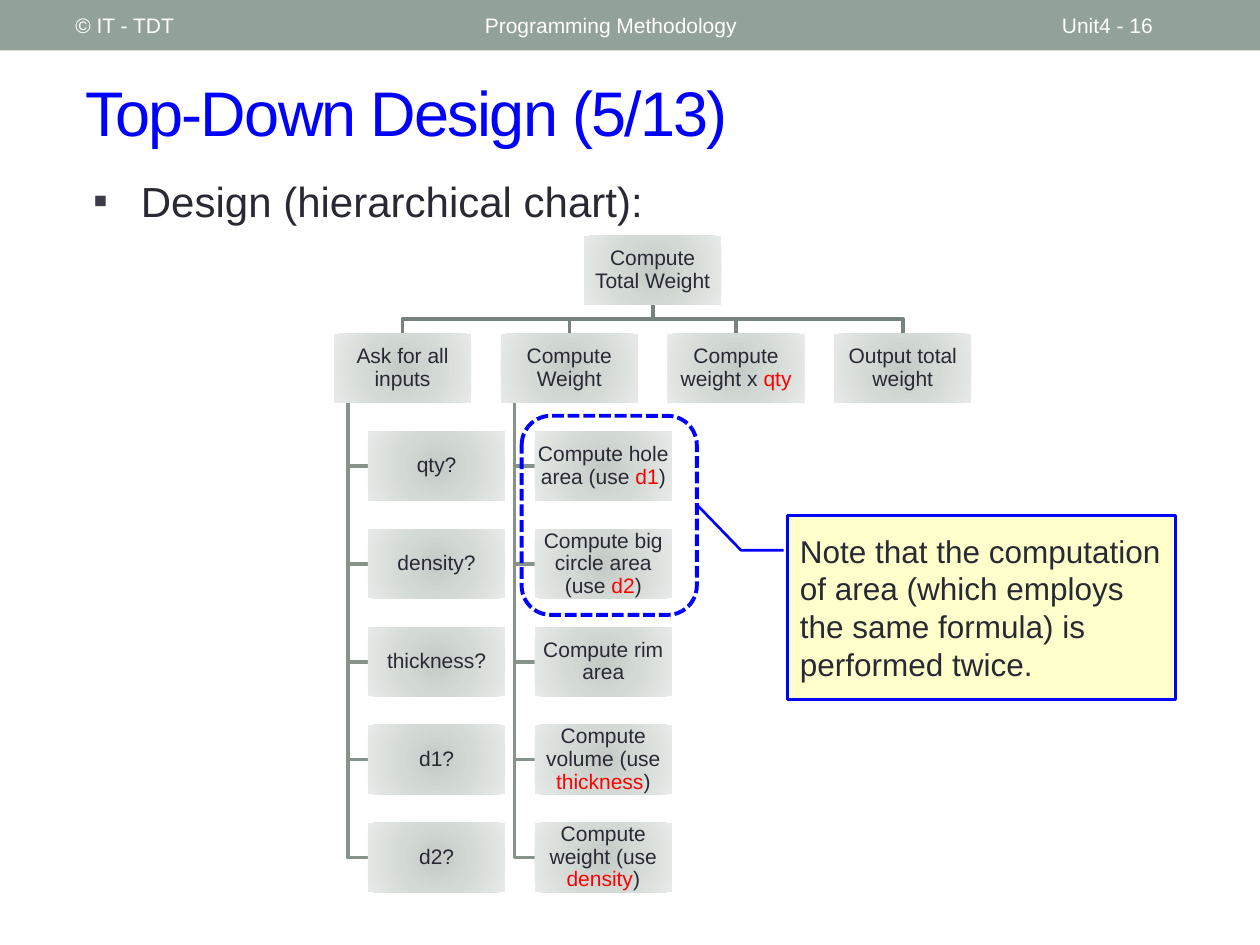
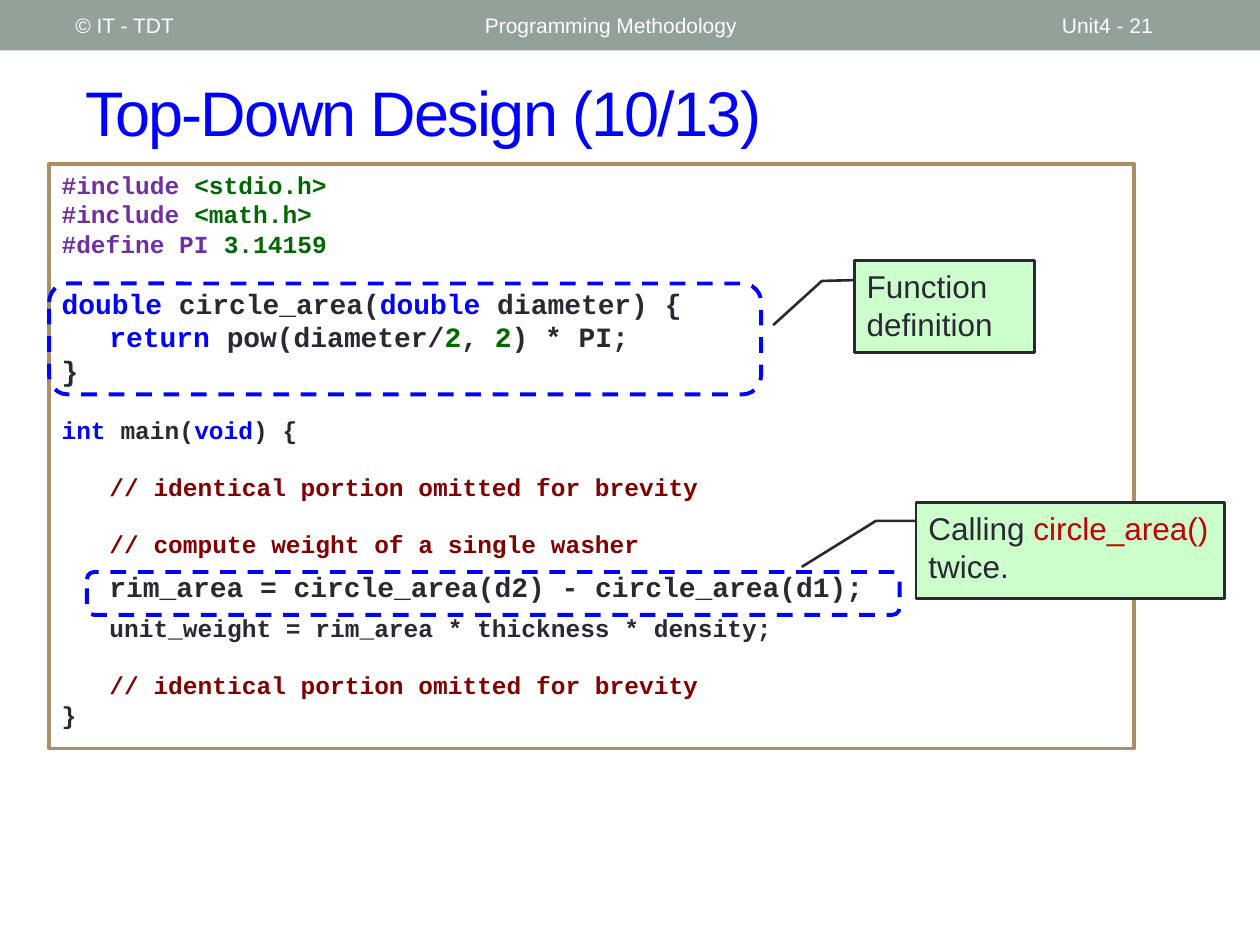
from typing import NamedTuple

from lxml import etree
from pptx import Presentation
from pptx.dml.color import RGBColor
from pptx.enum import dml, shapes, text
from pptx.oxml import parse_xml
from pptx.oxml.ns import nsdecls, qn
from pptx.util import Inches, Pt

WIDTH, HEIGHT = Inches(10), Inches(7.5)
COLUMN, ROW = WIDTH / 100, HEIGHT / 75  # page grid: 100 columns by 75 rows

WHITE = RGBColor(0xFF, 0xFF, 0xFF)
INK = RGBColor(0x29, 0x29, 0x34)
SAGE = RGBColor(0x93, 0xA2, 0x99)
BULLET = RGBColor(0x3B, 0x3B, 0x4B)
BLUE = RGBColor(0x00, 0x00, 0xFF)
RED = RGBColor(0xFF, 0x00, 0x00)
CRIMSON = RGBColor(0xC0, 0x00, 0x00)
MAROON = RGBColor(0x80, 0x00, 0x00)
PURPLE = RGBColor(0x70, 0x30, 0xA0)
GREEN = RGBColor(0x00, 0x66, 0x00)
TAN = RGBColor(0xAD, 0x8F, 0x67)
CREAM = RGBColor(0xFF, 0xFF, 0xCC)
MINT = RGBColor(0xCC, 0xFF, 0xCC)
TRUNK = RGBColor(0x76, 0x82, 0x7B)
BRANCH = RGBColor(0x85, 0x93, 0x8B)
NODE_STOPS = ((0, RGBColor(0xC4, 0xCA, 0xC6)), (45, RGBColor(0xD3, 0xDA, 0xD6)),
              (100, RGBColor(0xE7, 0xEA, 0xE8)))

SANS, MONO = "Arial", "Courier New"
TOP, MIDDLE = text.MSO_ANCHOR.TOP, text.MSO_ANCHOR.MIDDLE
LEFT, CENTER = text.PP_ALIGN.LEFT, text.PP_ALIGN.CENTER
RECT = shapes.MSO_SHAPE.RECTANGLE
ROUNDED = shapes.MSO_SHAPE.ROUNDED_RECTANGLE
CALLOUT = shapes.MSO_SHAPE.LINE_CALLOUT_2
BLANK_LINE = 15.9  # height in points of one 14-point code line


class Box(NamedTuple):
    """An area in grid columns and rows."""
    left: float
    top: float
    width: float
    height: float

    def inner(self, left, top, width, height):
        return Box(self.left + left, self.top + top, width, height)

    def lengths(self):
        return [round(count * unit) for count, unit in zip(self, (COLUMN, ROW) * 2)]


# Shared building parts

def set_frame(shape, anchor=MIDDLE, inset=0.1):
    frame = shape.text_frame
    frame.word_wrap = True
    frame.vertical_anchor = anchor
    frame.margin_left = frame.margin_right = Inches(inset)
    frame.margin_top = frame.margin_bottom = Inches(min(inset, 0.05))
    return frame


def write(frame, *spans, size=18, font=SANS, colour=INK, bold=False, align=LEFT,
          line=1.0, before=0, after=0, margin=0, first=0, tracking=0, bullet=None):
    """Add one paragraph; a span is a string or a (string, colour) pair."""
    para = frame.add_paragraph() if frame.text else frame.paragraphs[0]
    para.alignment, para.line_spacing = align, line
    para.space_before, para.space_after = Pt(before), Pt(after)
    props = para._p.get_or_add_pPr()
    props.set("marL", str(Inches(margin)))
    props.set("indent", str(Inches(first)))
    if bullet:
        tint = etree.SubElement(props, qn("a:buClr"))
        etree.SubElement(tint, qn("a:srgbClr"), val=str(BULLET))
        etree.SubElement(props, qn("a:buFont"), typeface=SANS)
        etree.SubElement(props, qn("a:buChar"), char=bullet)
    for span in spans:
        words, tone = (span, colour) if isinstance(span, str) else span
        run = para.add_run()
        run.text = words
        run.font.name, run.font.size, run.font.bold = font, Pt(size), bold
        run.font.color.rgb = tone
        if tracking:
            run._r.get_or_add_rPr().set("spc", str(tracking * 100))


def add_label(page, box, *spans, anchor=MIDDLE, **style):
    label = page.shapes.add_textbox(*box.lengths())
    write(set_frame(label, anchor), *spans, **style)


def paint(shape, fill=None, line=None, weight=2.25, dash=None):
    shape.shadow.inherit = False
    if fill is None:
        shape.fill.background()
    else:
        shape.fill.solid()
        shape.fill.fore_color.rgb = fill
    if line is None:
        shape.line.fill.background()
    else:
        shape.line.color.rgb = line
        shape.line.width = Pt(weight)
        shape.line.dash_style = dash


def add_block(page, kind, box, **style):
    block = page.shapes.add_shape(kind, *box.lengths())
    paint(block, **style)
    return block


def add_callout(page, box, pointer, *spans, fill, line, anchor=TOP):
    callout = add_block(page, CALLOUT, box, fill=fill, line=line, weight=1.5)
    for index, share in enumerate(pointer):
        callout.adjustments[index] = share
    write(set_frame(callout, anchor), *spans)


def add_page(deck, number, title):
    page = deck.slides.add_slide(deck.slide_layouts[6])
    band = Box(0, 0, 100, 4)
    add_block(page, RECT, band, fill=SAGE)
    for left, width, words in ((37.5, 45, "Programming Methodology"),
                               (83.3, 11.7, f"Unit4 - {number}"),
                               (5, 31.7, "© IT - TDT")):
        add_label(page, band.inner(left, 0.2, width, 3.6), words, size=12, colour=WHITE)
    add_label(page, Box(5.8, 4.2, 91.7, 9.2), title, size=36, colour=BLUE, tracking=-1)
    return page


# Hierarchy chart

NODE_WIDTH, NODE_HEIGHT, CHILD_INDENT, SPINE = 10.9, 5.5, 2.7, 1.1

ROOT = ["Compute Total Weight"]
BRANCHES = [
    (["Ask for all inputs"],
     [["qty?"], ["density?"], ["thickness?"], ["d1?"], ["d2?"]]),
    (["Compute Weight"],
     [["Compute hole area (use ", ("d1", RED), ")"],
      ["Compute big circle area (use ", ("d2", RED), ")"],
      ["Compute rim area"],
      ["Compute volume (use ", ("thickness", RED), ")"],
      ["Compute weight (use ", ("density", RED), ")"]]),
    (["Compute weight x ", ("qty", RED)], []),
    (["Output total weight"], []),
]


def add_elbow(page, colour, *points):
    corners = [(round(x * COLUMN), round(y * ROW)) for x, y in points]
    builder = page.shapes.build_freeform(*corners[0])
    builder.add_line_segments(corners[1:], close=False)
    paint(builder.convert_to_shape(), line=colour, weight=2.08)


def add_node(page, box, spans):
    node = add_block(page, RECT, box)
    props = node._element.spPr
    stops = "".join(f'<a:gs pos="{share * 1000}"><a:srgbClr val="{colour}"/></a:gs>'
                    for share, colour in NODE_STOPS)
    props.replace(props.find(qn("a:noFill")), parse_xml(
        f'<a:gradFill {nsdecls("a")} rotWithShape="1"><a:gsLst>{stops}</a:gsLst>'
        '<a:path path="circle"><a:fillToRect l="100000" t="100000" r="100000" b="100000"/>'
        '</a:path></a:gradFill>'))
    write(set_frame(node, inset=0.01), *spans, size=12, align=CENTER, line=0.9)


def add_hierarchy(page, box):
    column_step = (box.width - NODE_WIDTH) / (len(BRANCHES) - 1)
    levels = 2 + max(len(children) for _, children in BRANCHES)
    row_step = (box.height - NODE_HEIGHT) / (levels - 1)

    def cell(column, row, indent=0):
        return box.inner(column * column_step + indent, row * row_step,
                         NODE_WIDTH, NODE_HEIGHT)

    root = cell((len(BRANCHES) - 1) / 2, 0)
    center, foot = root.left + NODE_WIDTH / 2, root.top + NODE_HEIGHT
    nodes = [(root, ROOT)]
    for column, (heading, children) in enumerate(BRANCHES):
        head = cell(column, 1)
        nodes.append((head, heading))
        middle, bend = head.left + NODE_WIDTH / 2, (foot + head.top) / 2
        add_elbow(page, TRUNK, (center, foot), (center, bend),
                  (middle, bend), (middle, head.top))
        for row, spans in enumerate(children, start=2):
            child = cell(column, row, CHILD_INDENT)
            nodes.append((child, spans))
            spine, level = head.left + SPINE, child.top + NODE_HEIGHT / 2
            add_elbow(page, BRANCH, (spine, head.top + NODE_HEIGHT),
                      (spine, level), (child.left, level))
    for node_box, spans in nodes:
        add_node(page, node_box, spans)


def build_chart_page(deck):
    page = add_page(deck, 16, "Top-Down Design (5/13)")
    add_label(page, Box(6.4, 13, 58.7, 5.1), "Design (hierarchical chart):", anchor=TOP,
              size=24, line=1.1, before=6, margin=0.38, first=-0.38, bullet="▪")
    add_hierarchy(page, Box(26.5, 18.7, 50.6, 52.1))
    # Repeated area steps and the note on them
    add_block(page, ROUNDED, Box(41.4, 33, 13.9, 15.8), line=BLUE,
              dash=dml.MSO_LINE.SQUARE_DOT)
    add_callout(page, Box(62.5, 40.9, 30.8, 14.6), (0.19, -0.01, 0.19, -0.12, -0.05, -0.23),
                "Note that the computation of area (which employs the same formula) "
                "is performed twice.", fill=CREAM, line=BLUE, anchor=MIDDLE)


# Code listing

INDENTED = {"margin": 0.38}
SPACED = {"before": BLANK_LINE}
LARGE = {"size": 16}
OMITTED = ("// identical portion omitted for brevity", MAROON)

CODE = [
    ([("#include ", PURPLE), ("<stdio.h>", GREEN)], {}),
    ([("#include ", PURPLE), ("<math.h>", GREEN)], {}),
    ([("#define PI ", PURPLE), ("3.14159", GREEN)], {}),
    ([("double ", BLUE), "circle_area(", ("double", BLUE), " diameter) {"], LARGE | SPACED),
    ([("return ", BLUE), "pow(diameter/", ("2", GREEN), ", ", ("2", GREEN), ") * PI;"],
     LARGE | INDENTED),
    (["}"], LARGE),
    ([("int", BLUE), " main(", ("void", BLUE), ") {"], SPACED),
    ([OMITTED], INDENTED | SPACED),
    ([("// compute weight of a single washer", MAROON)], INDENTED | SPACED),
    (["rim_area = circle_area(d2) - circle_area(d1);"],
     LARGE | INDENTED | {"before": 6, "after": 6}),
    (["unit_weight = rim_area * thickness * density;"], INDENTED),
    ([OMITTED], INDENTED | SPACED),
    (["}"], {}),
]


def add_listing(page, box):
    panel = add_block(page, RECT, box, fill=WHITE, line=TAN, weight=2.08)
    frame = set_frame(panel, TOP)
    for spans, style in CODE:
        write(frame, *spans, **({"size": 14, "font": MONO, "bold": True} | style))
    # Highlighted definition and call, each with its callout
    for mark, note, pointer, spans in (
            ((0, 9.5, 56.5, 8.8), (63.9, 7.7, 14.3, 7.3),
             (0.21, 0, 0.22, -0.18, 0.7, -0.45), ["Function definition"]),
            ((3, 32.4, 64.5, 3.4), (68.8, 26.9, 24.5, 7.6),
             (0.19, 0, 0.19, -0.13, 0.67, -0.37),
             ["Calling ", ("circle_area() ", CRIMSON), "twice."])):
        add_block(page, ROUNDED, box.inner(*mark), line=BLUE, dash=dml.MSO_LINE.DASH)
        add_callout(page, box.inner(*note), pointer, *spans, fill=MINT, line=INK)


def build_code_page(deck):
    page = add_page(deck, 21, "Top-Down Design (10/13)")
    add_listing(page, Box(3.9, 13, 86.1, 46.4))


def main():
    deck = Presentation()
    deck.slide_width, deck.slide_height = WIDTH, HEIGHT
    build_chart_page(deck)
    build_code_page(deck)
    deck.save("out.pptx")


if __name__ == "__main__":
    main()
